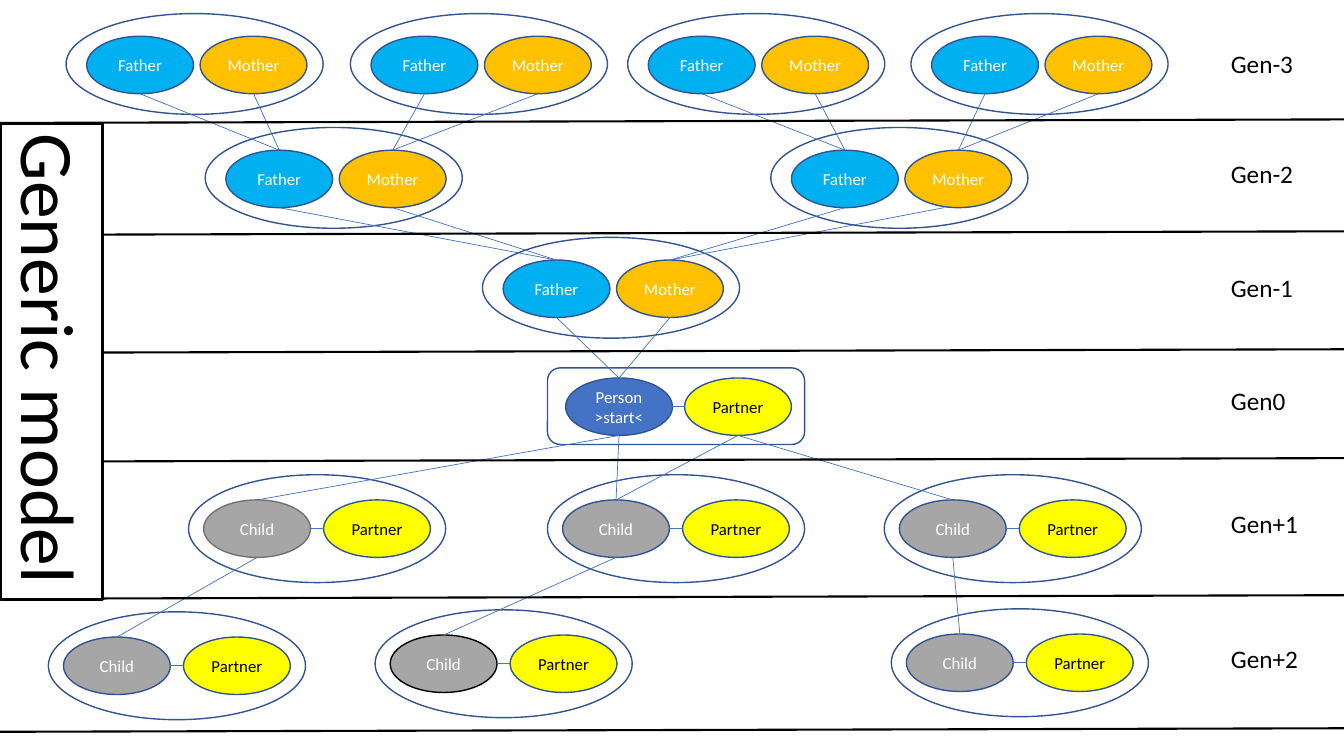
from lxml.etree import SubElement
from pptx import Presentation
from pptx.dml.color import RGBColor as Rgb
from pptx.enum.shapes import MSO_CONNECTOR as Link, MSO_SHAPE as Form
from pptx.enum.text import MSO_ANCHOR as Anchor, MSO_AUTO_SIZE as Fit, PP_ALIGN as Align
from pptx.oxml.ns import qn
from pptx.util import Inches, Pt

WHITE = Rgb(0xFF, 0xFF, 0xFF)
BLACK = Rgb(0x00, 0x00, 0x00)
SKY = Rgb(0x00, 0xB0, 0xF0)
AMBER = Rgb(0xFF, 0xC0, 0x00)
YELLOW = Rgb(0xFF, 0xFF, 0x00)
GREY = Rgb(0xA6, 0xA6, 0xA6)
DIM = Rgb(0x76, 0x71, 0x71)
BLUE = Rgb(0x44, 0x72, 0xC4)
NAVY = Rgb(0x32, 0x54, 0x91)

COLS, ROWS = 133.3, 75
CELL = Inches(0.1)
WIDE, HIGH = 10.6, 5.7
ROLES = {
    "Father": (SKY, WHITE),
    "Mother": (AMBER, WHITE),
    "Partner": (YELLOW, BLACK),
    "Child": (GREY, WHITE),
    "Person\n>start<": (BLUE, WHITE),
}


class Chart:
    """Draws a family tree on a grid of tenth-inch columns and rows."""

    def __init__(self, deck):
        self.font = {"name": "Calibri", "size": Pt(12), "bold": False}
        self.slide = deck.slides.add_slide(deck.slide_layouts[6])
        self.shapes = self.slide.shapes

    def grid(self, *cells):
        return [round(cell * CELL) for cell in cells]

    def letter(self, frame, text, ink, align, **style):
        frame.text = text
        for para in frame.paragraphs:
            para.alignment = align
            for key, value in {**self.font, **style}.items():
                setattr(para.font, key, value)
            para.font.color.rgb = ink

    def shape(self, form, box, fill=None, edge=NAVY, width=1):
        shape = self.shapes.add_shape(form, *self.grid(*box))
        shape.shadow.inherit = False
        if fill is None:
            shape.fill.background()
        else:
            shape.fill.solid()
            shape.fill.fore_color.rgb = fill
        shape.line.color.rgb = edge
        shape.line.width = Pt(width)
        return shape

    def oval(self, role, x, y, edge=NAVY):
        fill, ink = ROLES[role]
        shape = self.shape(Form.OVAL, (x, y, WIDE, HIGH), fill, edge)
        shape.text_frame.vertical_anchor = Anchor.MIDDLE
        self.letter(shape.text_frame, role, ink, Align.CENTER)
        return x, y

    def line(self, x1, y1, x2, y2, ink=BLUE, width=0.5):
        line = self.shapes.add_connector(Link.STRAIGHT, *self.grid(x1, y1, x2, y2))
        line.line.color.rgb = ink
        line.line.width = Pt(width)
        SubElement(line._element.spPr, qn("a:effectLst"))

    def drop(self, upper, lower, shift=0):
        self.line(upper[0] + WIDE / 2 + shift, upper[1] + HIGH,
                  lower[0] + WIDE / 2, lower[1])

    def bond(self, left, right):
        mid = left[1] + HIGH / 2
        self.line(left[0] + WIDE, mid, right[0], mid)

    def parents(self, x, y):
        pair = self.oval("Father", x, y), self.oval("Mother", x + 11.25, y)
        self.shape(Form.OVAL, (x - 2.05, y - 2.25, 25.5, 10))
        return pair

    def child(self, x, y, edge=NAVY):
        pair = self.oval("Child", x, y, edge), self.oval("Partner", x + 11.9, y)
        self.shape(Form.OVAL, (x - 1.5, y - 2.5, 25.5, 10.7))
        self.bond(*pair)
        return pair[0]

    def start(self, x, y):
        pair = self.oval("Person\n>start<", x, y), self.oval("Partner", x + 11.8, y)
        self.shape(Form.ROUNDED_RECTANGLE, (x - 1.8, y - 1, 25.5, 7.6))
        self.bond(*pair)
        return pair

    def label(self, text, y, width):
        box = self.shapes.add_textbox(*self.grid(121.1, y, width, 4))
        box.text_frame.word_wrap = False
        box.text_frame.auto_size = Fit.SHAPE_TO_FIT_TEXT
        self.letter(box.text_frame, text, BLACK, Align.LEFT, size=Pt(18))

    def title(self, text):
        box = self.shape(Form.RECTANGLE, (-18.5, 30.8, 47.2, 10.1), WHITE, BLACK, 2)
        box.rotation = 90
        box.text_frame.vertical_anchor = Anchor.TOP
        box.text_frame.word_wrap = True
        box.text_frame.auto_size = Fit.SHAPE_TO_FIT_TEXT
        self.letter(box.text_frame, text, BLACK, Align.LEFT, size=Pt(54))


def main():
    deck = Presentation()
    deck.slide_width, deck.slide_height = round(COLS * CELL), ROWS * CELL
    tree = Chart(deck)

    elders = [tree.parents(x, 3.6) for x in (8.6, 36.8, 64.3, 92.4)]
    grands = [tree.parents(x, 14.9) for x in (22.4, 78.5)]
    folks = tree.parents(49.9, 25.8)
    person, partner = tree.start(56.1, 37.5)
    kids = [tree.child(x, 49.6, edge)
            for x, edge in ((20.2, DIM), (55.8, NAVY), (89.2, NAVY))]
    heirs = [tree.child(x, y, edge)
             for x, y, edge in ((6.3, 63.2, NAVY), (38.7, 63, BLACK), (89.9, 62.9, NAVY))]

    lower = [one for pair in grands for one in pair]
    for pair, one in zip(elders, lower):
        for elder in pair:
            tree.drop(elder, one)
    for pair, one, shift in zip(grands, folks, (0, -1.4)):
        tree.drop(pair[0], one)
        tree.drop(pair[1], one, shift)
    for parent in folks:
        tree.drop(parent, person)
    for parent, brood in ((person, kids[:2]), (partner, kids[1:])):
        for kid in brood:
            tree.drop(parent, kid)
    for kid, heir in zip(kids, heirs):
        tree.drop(kid, heir)

    for y in (12.2, 23.3, 35, 45.8, 59.4, 72.6):
        tree.line(0, y, COLS, y - 0.35, BLACK, 1.5)
    for text, y, width in (("Gen-3", 4.3, 8.3), ("Gen-2", 15.2, 8.3),
                           ("Gen-1", 26.5, 8.3), ("Gen0", 37.7, 7.5),
                           ("Gen+1", 49.9, 8.8), ("Gen+2", 63.3, 8.8)):
        tree.label(text, y, width)
    tree.title("Generic model")
    deck.save("out.pptx")


if __name__ == "__main__":
    main()
